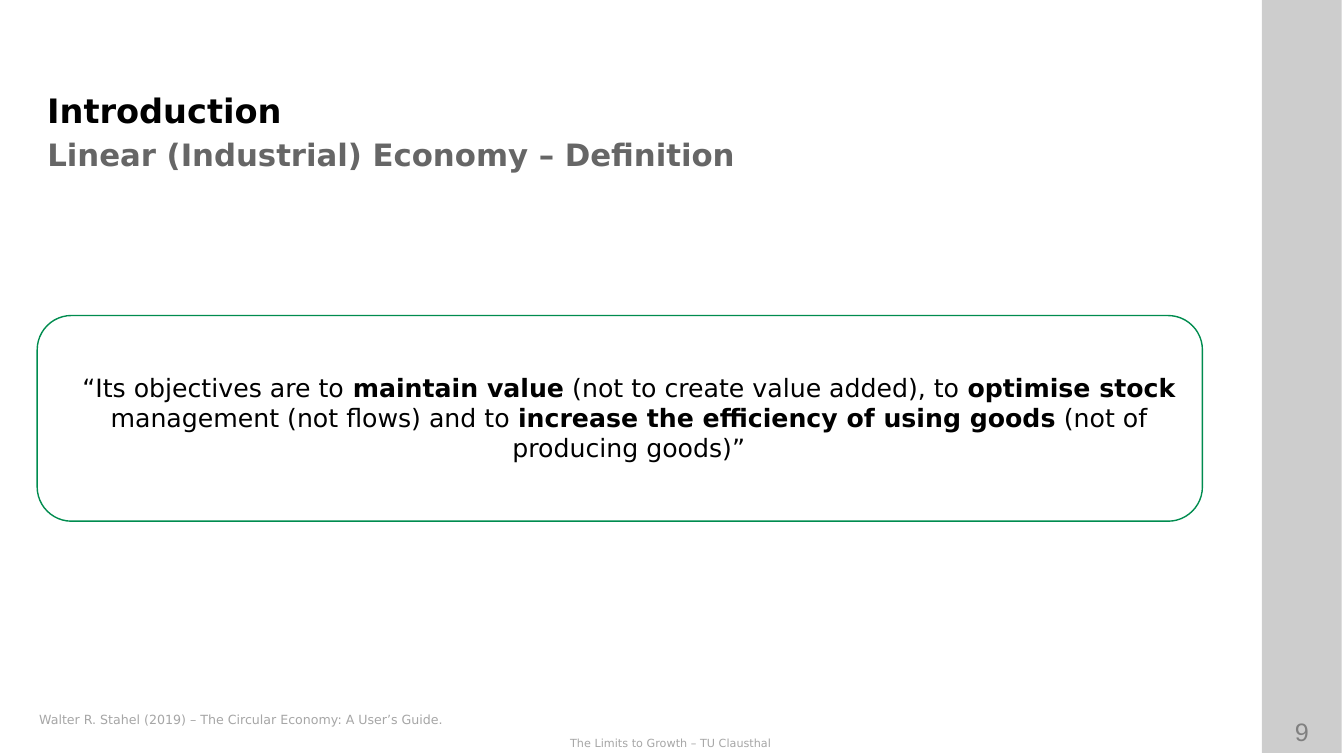
from dataclasses import dataclass

from lxml import etree
from pptx import Presentation
from pptx.dml.color import RGBColor
from pptx.enum import shapes, text
from pptx.oxml.ns import qn
from pptx.util import Pt


@dataclass(frozen=True)
class Theme:
    font: str = "DejaVu Sans"
    plain: str = "Arial"
    black: str = "000000"
    grey: str = "666666"
    mid: str = "808080"
    pale: str = "A6A6A6"
    green: str = "008C4F"
    head: float = 24
    sub: float = 22
    body: float = 18
    note: float = 9
    foot: float = 8


T = Theme()
LEFT, MID = text.PP_ALIGN.LEFT, text.PP_ALIGN.CENTER
TOP, CORE = text.MSO_ANCHOR.TOP, text.MSO_ANCHOR.MIDDLE
Box = tuple[float, float, float, float]


@dataclass(frozen=True)
class Label:
    box: Box
    runs: tuple[str, ...]  # regular and bold runs take turns
    size: float
    color: str
    bold: bool = False  # weight of the first run
    font: str = T.font
    align: int = LEFT
    anchor: int = TOP
    pad: tuple[float, float] = (7.2, 3.6)


def put(slide, item: Label) -> None:
    """Add one text box."""
    frame = slide.shapes.add_textbox(*map(Pt, item.box)).text_frame
    side, edge = map(Pt, item.pad)
    form = {"word_wrap": True, "vertical_anchor": item.anchor,
            "margin_left": side, "margin_right": side,
            "margin_top": edge, "margin_bottom": edge}
    for key, value in form.items():
        setattr(frame, key, value)
    para = frame.paragraphs[0]
    para.alignment = item.align
    for i, words in enumerate(item.runs):
        run = para.add_run()
        run.text = words
        form = {"name": item.font, "size": Pt(item.size),
                "bold": item.bold != (i % 2 == 1)}
        for key, value in form.items():
            setattr(run.font, key, value)
        run.font.color.rgb = RGBColor.from_string(item.color)


def band(slide, box: Box, color: str, alpha: int) -> None:
    """Add a see-through bar, with alpha in percent."""
    bar = slide.shapes.add_shape(shapes.MSO_SHAPE.RECTANGLE, *map(Pt, box))
    bar.shadow.inherit = False
    bar.line.fill.background()
    bar.fill.solid()
    bar.fill.fore_color.rgb = RGBColor.from_string(color)
    tint = next(bar.fill._xPr.iter(qn("a:srgbClr")))
    etree.SubElement(tint, qn("a:alpha"), val=str(alpha * 1000))


def ring(slide, box: Box, color: str) -> None:
    """Add a rounded outline."""
    edge = slide.shapes.add_shape(
        shapes.MSO_SHAPE.ROUNDED_RECTANGLE, *map(Pt, box))
    edge.shadow.inherit = False
    edge.fill.background()
    edge.line.color.rgb = RGBColor.from_string(color)
    edge.line.width = Pt(1)


QUOTE = ("“Its objectives are to", " maintain value",
         " (not to create value added), to ", "optimise stock",
         " management (not flows) and to ",
         "increase the efficiency of using goods",
         " (not of producing goods)”")

LABELS = (
    # Page number and footer
    Label((900.7, 508.3, 58.3, 28.8), ("9",), T.body, T.mid,
          font=T.plain, align=MID),
    Label((0, 522.7, 958.3, 16.6), ("The Limits to Growth – TU Clausthal",),
          T.foot, T.pale, align=MID),
    # Quote and its reference
    Label((26.6, 100.1, 845.3, 396), QUOTE, T.body, T.black,
          align=MID, anchor=CORE),
    Label((20.9, 504.7, 509, 18),
          ("Walter R. Stahel (2019) – The Circular Economy: A User’s Guide.",),
          T.note, T.pale),
    # Headings
    Label((26.6, 60.5, 845.3, 38.2), ("Introduction",), T.head, T.black, True),
    Label((33.8, 90.7, 814.3, 38.2),
          ("Linear (Industrial) Economy – Definition",), T.sub, T.grey, True,
          anchor=CORE, pad=(0, 0)),
)


def main() -> None:
    deck = Presentation()
    deck.slide_width, deck.slide_height = Pt(960), Pt(540)
    slide = deck.slides.add_slide(deck.slide_layouts[6])
    # Side bar: two layers deepen the grey
    for _ in range(2):
        band(slide, (901.4, 0, 56.9, 537.8), T.black, 10)
    # Quote frame
    ring(slide, (26.6, 225.4, 832.3, 146.9), T.green)
    for item in LABELS:
        put(slide, item)
    deck.save("out.pptx")


if __name__ == "__main__":
    main()
